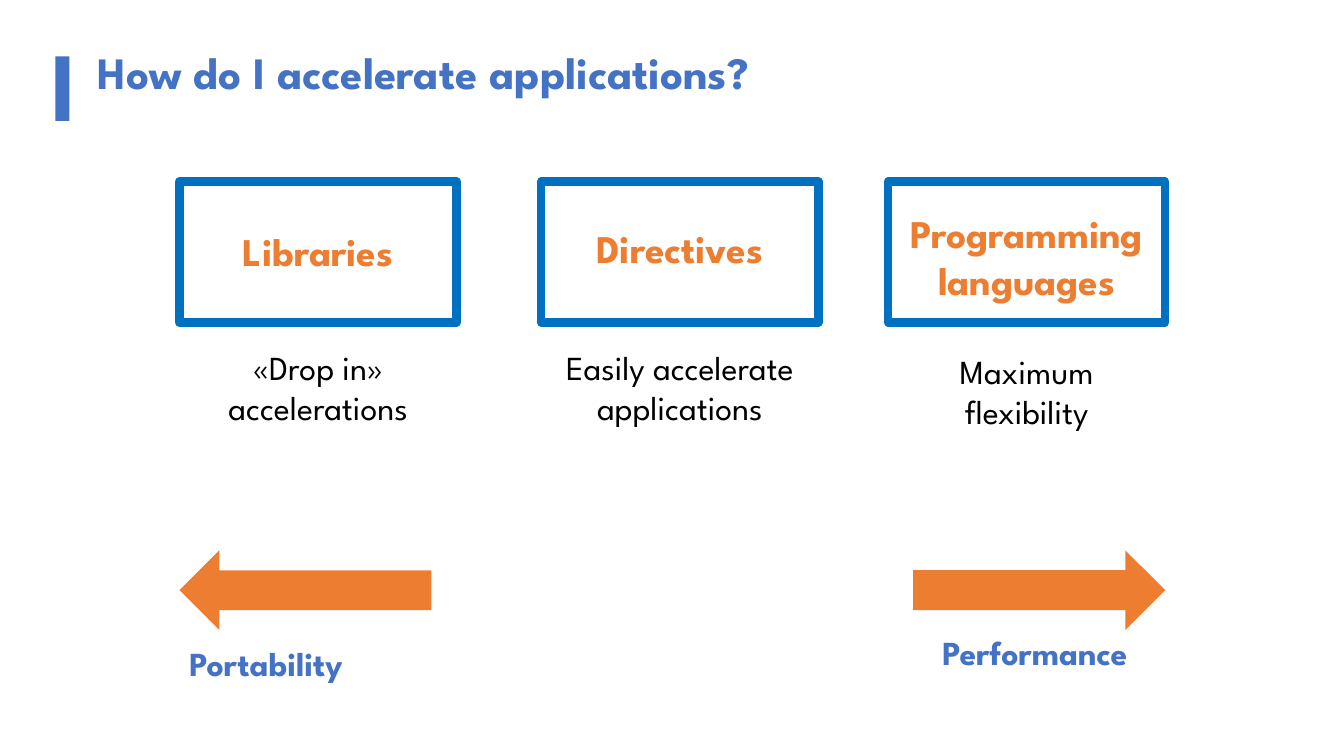
from pptx import Presentation
from pptx.dml.color import RGBColor
from pptx.enum.shapes import MSO_SHAPE as SHAPE
from pptx.enum.text import MSO_ANCHOR as ANCHOR, MSO_AUTO_SIZE as AUTO, PP_ALIGN as ALIGN
from pptx.util import Pt

BLUE = RGBColor(0x44, 0x72, 0xC4)
FRAME_BLUE = RGBColor(0x00, 0x70, 0xC0)
ORANGE = RGBColor(0xED, 0x7D, 0x31)
BLACK = RGBColor(0, 0, 0)
FONT = "League Spartan"

TITLE = "How do I accelerate applications?"
# left, heading, heading top, heading height, note, note top
WAYS = [
    (128.2, "Libraries", 159.1, 41, "«Drop in» accelerations", 244.1),
    (386.6, "Directives", 157, 41, "Easily accelerate applications", 244.1),
    (634.3, "Programming languages", 146.2, 75, "Maximum flexibility", 247),
]
# arrow left, rotation, label, label left, label top, label width
GOALS = [
    (128.2, 180, "Portability", 128.2, 455.8, 129.6),
    (652.3, 0, "Performance", 666, 447.8, 165.6),
]
BOX_TOP, BOX_W, BOX_H = 129.6, 198, 100.8
NOTE_H = 65.5
ARROW_TOP, ARROW_W, ARROW_H = 393.1, 180, 56.9
LABEL_H = 36


def place(s, x, y, w, h):
    s.left, s.top, s.width, s.height = Pt(x), Pt(y), Pt(w), Pt(h)


def write(s, text, size, color, bold=True, align=ALIGN.LEFT):
    tf = s.text_frame
    tf.word_wrap = True
    tf.auto_size = AUTO.SHAPE_TO_FIT_TEXT
    tf.vertical_anchor = ANCHOR.TOP
    p = tf.paragraphs[0]
    p.text = text
    p.alignment = align
    p.font.name, p.font.size, p.font.bold = FONT, Pt(size), bold
    p.font.color.rgb = color


def add_text(x, y, w, h, *args, **kwargs):
    write(slide.shapes.add_textbox(Pt(x), Pt(y), Pt(w), Pt(h)), *args, **kwargs)


def add_shape(kind, x, y, w, h, fill=None):
    """Add a shape that is filled without a line, or else only framed."""
    s = slide.shapes.add_shape(kind, Pt(x), Pt(y), Pt(w), Pt(h))
    s.shadow.inherit = False
    if fill is None:
        s.fill.background()
        s.line.color.rgb = FRAME_BLUE
        s.line.width = Pt(6)
    else:
        s.fill.solid()
        s.fill.fore_color.rgb = fill
        s.line.fill.background()
    return s


prs = Presentation()
prs.slide_width, prs.slide_height = Pt(960), Pt(540)
slide = prs.slides.add_slide(prs.slide_layouts[5])

title = slide.shapes.title
place(title, 62.6, 28.1, 635, 46.1)
write(title, TITLE, 32, BLUE)
add_shape(SHAPE.RECTANGLE, 39.6, 40.3, 10.1, 46.1, BLUE)

for x, heading, heading_top, heading_h, note, note_top in WAYS:
    add_shape(SHAPE.RECTANGLE, x, BOX_TOP, BOX_W, BOX_H)
    add_text(x, heading_top, BOX_W, heading_h, heading, 28, ORANGE, align=ALIGN.CENTER)
    add_text(x, note_top, BOX_W, NOTE_H, note, 24, BLACK, bold=False, align=ALIGN.CENTER)

for x, rotation, label, label_x, label_top, label_w in GOALS:
    arrow = add_shape(SHAPE.RIGHT_ARROW, x, ARROW_TOP, ARROW_W, ARROW_H, ORANGE)
    arrow.rotation = rotation
    add_text(label_x, label_top, label_w, LABEL_H, label, 24, BLUE)

prs.save("out.pptx")
